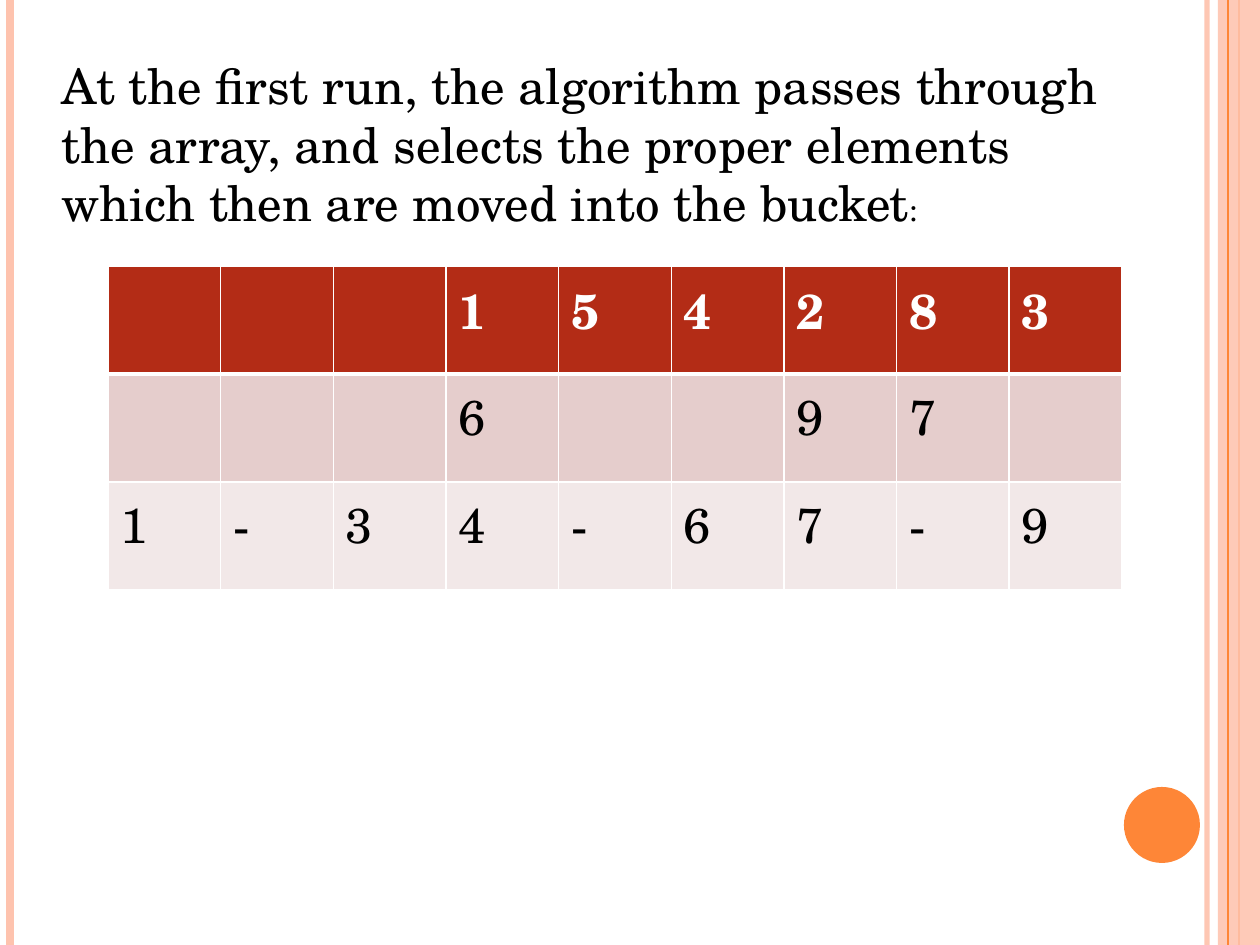
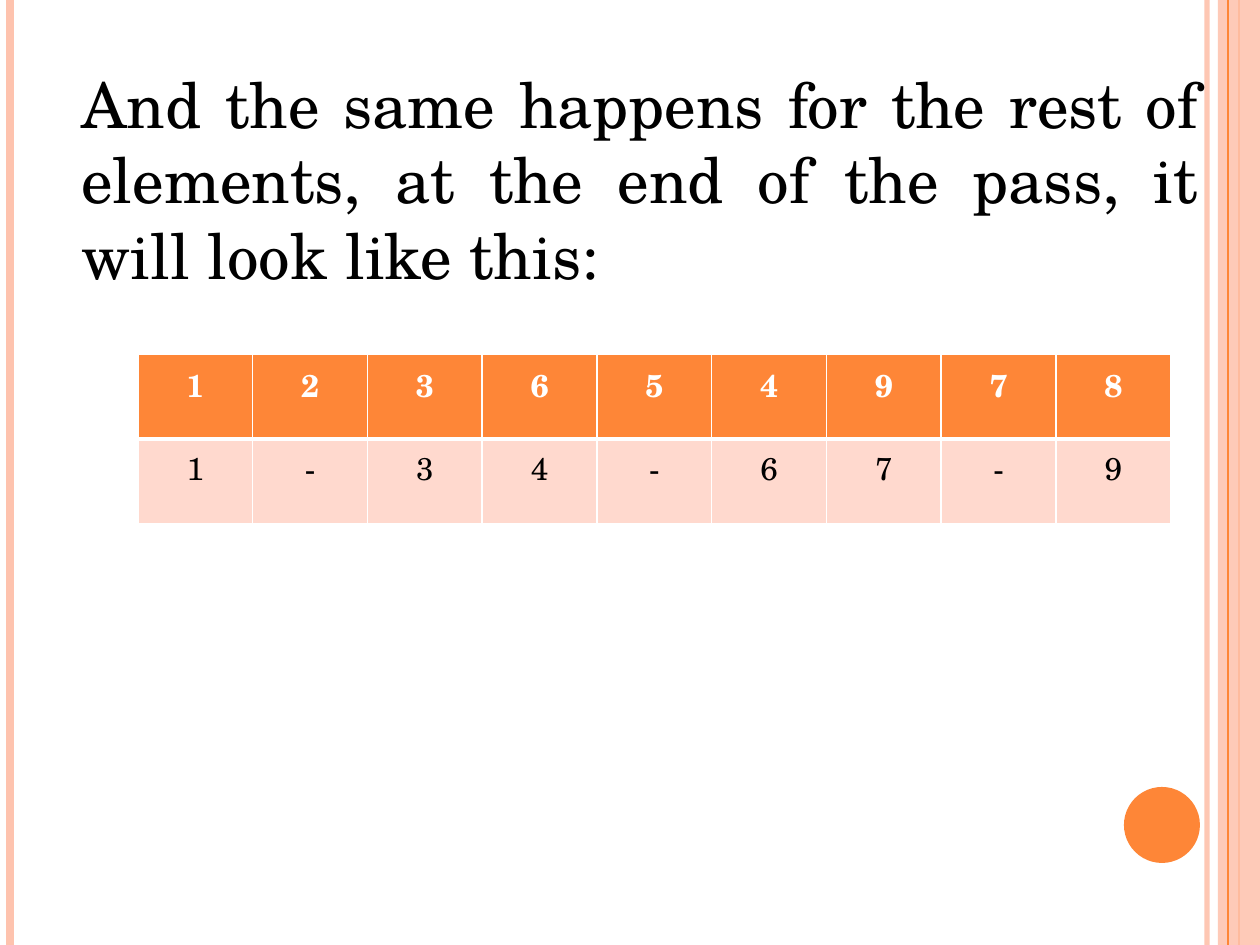
from lxml import etree
from pptx import Presentation
from pptx import util as u
from pptx.dml.color import RGBColor
from pptx.enum import shapes, text
from pptx.oxml.ns import qn

PX_PER_INCH = 126
PAGE_W, PAGE_H = 1260, 945
FONT = "TeX Gyre Schola"

WHITE = RGBColor(0xFF, 0xFF, 0xFF)
BLACK = RGBColor(0x00, 0x00, 0x00)
ORANGE = RGBColor(0xFE, 0x86, 0x37)
PEACH = RGBColor(0xFE, 0xC3, 0xAE)
PALE_PEACH = RGBColor(0xFF, 0xD9, 0xCE)
BRICK = RGBColor(0xB3, 0x2C, 0x16)
ROSE = RGBColor(0xE5, 0xCD, 0xCC)
PALE_ROSE = RGBColor(0xF2, 0xE8, 0xE8)

BUCKET_RANGES = "1-34-67-9"


def px(length):
    return u.Inches(length / PX_PER_INCH)


def set_opacity(element, percent):
    for color in element.iter(qn("a:srgbClr")):
        etree.SubElement(color, qn("a:alpha"), val=str(percent * 1000))


def add_span(para, words, size, color=BLACK, bold=False):
    span = para.add_run()
    span.text = words
    span.font.name = FONT
    span.font.size = u.Pt(size)
    span.font.color.rgb = color
    span.font.bold = bold


# Page frame shared by both slides
def add_rule(page, x, color, width, opacity=100):
    rule = page.shapes.add_connector(
        shapes.MSO_CONNECTOR.STRAIGHT, px(x), 0, px(x), px(PAGE_H))
    rule.line.color.rgb = color
    rule.line.width = u.Pt(width)
    properties = rule._element.spPr
    etree.SubElement(properties, qn("a:effectLst"))
    if opacity < 100:
        set_opacity(properties, opacity)


def add_filled(page, kind, x, y, w, h, color, opacity=100):
    shape = page.shapes.add_shape(kind, px(x), px(y), px(w), px(h))
    shape.shadow.inherit = False
    shape.fill.solid()
    shape.fill.fore_color.rgb = color
    shape.line.fill.background()
    if opacity < 100:
        set_opacity(shape._element.spPr, opacity)


def add_frame(page):
    add_rule(page, 1207, PEACH, 3, opacity=93)
    add_rule(page, 10, PEACH, 4.5)
    add_rule(page, 1239, ORANGE, 1.5)
    add_filled(page, shapes.MSO_SHAPE.RECTANGLE, 1218, 0, 42, PAGE_H, PEACH, opacity=87)
    add_rule(page, 1228, ORANGE, 0.75)
    add_filled(page, shapes.MSO_SHAPE.OVAL, 1124, 787, 76, 76, ORANGE)


# Explanation above the table, as (words, size) spans
def add_explanation(page, x, y, w, h, spans, align=text.PP_ALIGN.LEFT):
    box = page.shapes.add_textbox(px(x), px(y), px(w), px(h))
    box.text_frame.word_wrap = True
    para = box.text_frame.paragraphs[0]
    para.alignment = align
    for words, size in spans:
        add_span(para, words, size)


# Table with white borders and a thick one under the header
def set_borders(cell, top, bottom):
    properties = cell._tc.get_or_add_tcPr()
    for side, width in (("L", 1), ("R", 1), ("T", top), ("B", bottom)):
        line = etree.SubElement(properties, qn(f"a:ln{side}"), w=str(u.Pt(width)))
        fill = etree.SubElement(line, qn("a:solidFill"))
        etree.SubElement(fill, qn("a:srgbClr"), val=str(WHITE))


def add_array_table(page, x, y, w, row_h, rows, fills, size, align=text.PP_ALIGN.LEFT):
    table = page.shapes.add_table(
        len(rows), len(rows[0]), px(x), px(y), px(w), px(row_h * len(rows))).table
    for r, (values, fill) in enumerate(zip(rows, fills)):
        header = r == 0
        for c, value in enumerate(values):
            cell = table.cell(r, c)
            set_borders(cell, top=3 if r == 1 else 1, bottom=3 if header else 1)
            cell.fill.solid()
            cell.fill.fore_color.rgb = fill
            if value != " ":
                para = cell.text_frame.paragraphs[0]
                para.alignment = align
                add_span(para, value, size, color=WHITE if header else BLACK, bold=header)


def add_page(deck):
    page = deck.slides.add_slide(deck.slide_layouts[6])
    add_frame(page)
    return page


def main():
    deck = Presentation()
    deck.slide_width, deck.slide_height = px(PAGE_W), px(PAGE_H)

    # First run; each character is one cell, a space is an empty cell
    page = add_page(deck)
    add_explanation(page, 49, 49, 1113, 190, [
        ("At the first run, the algorithm passes through the array, and selects "
         "the proper elements which then are moved into the bucket", 28),
        (":", 18)])
    add_array_table(page, 108, 266, 1014, 108,
                    ["   154283", "   6  97 ", BUCKET_RANGES],
                    [BRICK, ROSE, PALE_ROSE], size=28)

    # End of the pass
    page = add_page(deck)
    add_explanation(page, 69, 59, 1142, 242, [
        ("And the same happens for the rest of elements, at the end of the pass, "
         "it will look like this:", 36)], align=text.PP_ALIGN.JUSTIFY)
    add_array_table(page, 138, 354, 1033, 85,
                    ["123654978", BUCKET_RANGES],
                    [ORANGE, PALE_PEACH], size=18, align=text.PP_ALIGN.CENTER)

    deck.save("out.pptx")


if __name__ == "__main__":
    main()
